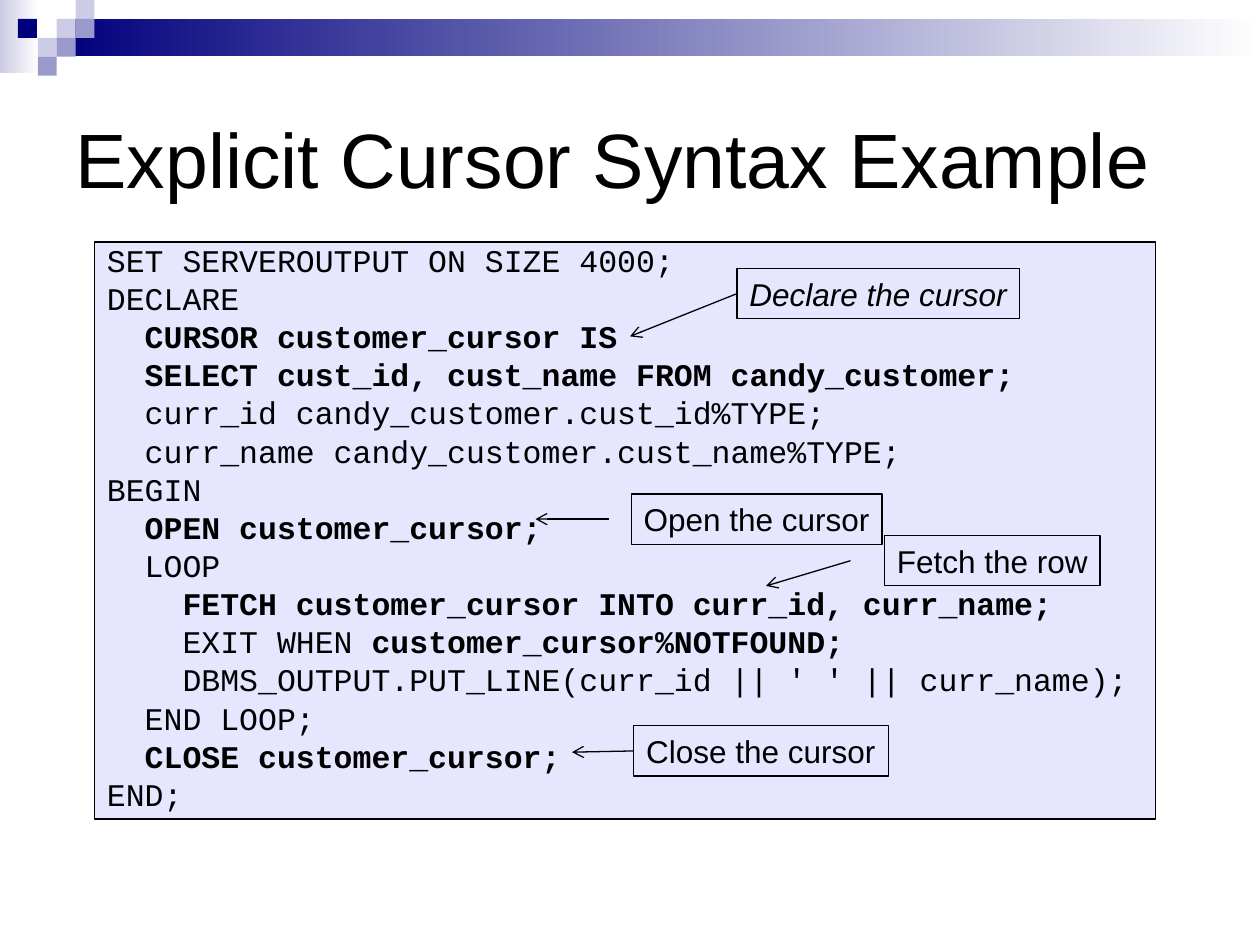
from typing import NamedTuple, Optional

from lxml.etree import SubElement as Sub
from pptx import Presentation
from pptx.dml.color import RGBColor
from pptx.enum.shapes import MSO_CONNECTOR as Link, MSO_SHAPE as Form
from pptx.enum.text import MSO_ANCHOR as Anchor, PP_ALIGN as Align
from pptx.oxml.ns import qn
from pptx.util import Emu, Inches, Pt

COLS, ROWS = 100, 75
WIDE, HIGH = Inches(10), Inches(7.5)
CELL = 1.5
INK, NAVY, PALE, MID, WHITE = "000000", "00007D", "CCCCE6", "9999CC", "FFFFFF"
SANS, MONO = "Arial", "Courier New"


class Box(NamedTuple):
    col: float
    row: float
    wide: float
    high: float


class Tile(NamedTuple):
    col: float
    row: int
    hue: str


class Line(NamedTuple):
    level: int
    plain: str
    bold: str = ""


class Note(NamedTuple):
    text: str
    box: Box
    head: tuple[float, float]
    tail: Optional[tuple[float, float]] = None
    slant: bool = False


TILES = [
    Tile(3, 1, PALE), Tile(4, 0, PALE), Tile(4, 1, MID), Tile(2, 2, PALE),
    Tile(0.95, 1, NAVY), Tile(3, 2, MID), Tile(2, 3, MID),
]
CODE = [
    Line(0, "SET SERVEROUTPUT ON SIZE 4000;"),
    Line(0, "DECLARE"),
    Line(1, "", "CURSOR customer_cursor IS"),
    Line(1, "", "SELECT cust_id, cust_name FROM candy_customer;"),
    Line(1, "curr_id candy_customer.cust_id%TYPE;"),
    Line(1, "curr_name candy_customer.cust_name%TYPE;"),
    Line(0, "BEGIN"),
    Line(1, "", "OPEN customer_cursor;"),
    Line(1, "LOOP"),
    Line(2, "", "FETCH customer_cursor INTO curr_id, curr_name;"),
    Line(2, "EXIT WHEN ", "customer_cursor%NOTFOUND;"),
    Line(2, "DBMS_OUTPUT.PUT_LINE(curr_id || ' ' || curr_name);"),
    Line(1, "END LOOP;"),
    Line(1, "", "CLOSE customer_cursor;"),
    Line(0, "END;"),
]
NOTES = [
    Note("Declare the cursor", Box(58.5, 21.3, 22.4, 4), (50, 26.7), slant=True),
    Note("Open the cursor", Box(50.1, 39.2, 19.9, 4), (42.5, 41.2), (48.3, 41.2)),
    Note("Fetch the row", Box(70.2, 42.5, 17.1, 4), (60.8, 46.5), (67.5, 44.5)),
    Note("Close the cursor", Box(50.3, 57.6, 20.2, 4), (45.4, 59.7)),
]


def tint(hue: str) -> RGBColor:
    return RGBColor.from_string(hue)


def across(col: float) -> Emu:
    return Emu(round(WIDE * col / COLS))


def down(row: float) -> Emu:
    return Emu(round(HIGH * row / ROWS))


def place(box: Box) -> tuple[Emu, Emu, Emu, Emu]:
    return across(box.col), down(box.row), across(box.wide), down(box.high)


def write(para, text: str, *, size=18, font=SANS, hue=INK, bold=False, slant=False):
    run = para.add_run()
    run.text = text
    face = run.font
    face.size, face.name, face.bold, face.italic = Pt(size), font, bold, slant
    face.color.rgb = tint(hue)
    para.alignment = Align.LEFT


def block(slide, box: Box, *, fill=None, fade=None, edge=None):
    shape = slide.shapes.add_shape(Form.RECTANGLE, *place(box))
    shape.shadow.inherit = False
    if fill is None:
        shape.fill.background()
    elif fade:
        shape.fill.gradient()
        shape.fill.gradient_angle = 0
        for stop, hue in zip(shape.fill.gradient_stops, (fill, fade)):
            stop.color.rgb = tint(hue)
    else:
        shape.fill.solid()
        shape.fill.fore_color.rgb = tint(fill)
    if edge:
        shape.line.color.rgb = tint(edge)
        shape.line.width = Pt(0.75)
    else:
        shape.line.fill.background()
    return shape


def banner(slide) -> None:
    block(slide, Box(0, 0, 3.1, 5.8), fill=PALE, fade=WHITE)
    block(slide, Box(4.5, CELL, 95.5, 2.92), fill=NAVY, fade=WHITE)
    for tile in TILES:
        spot = Box(tile.col * CELL, tile.row * CELL, CELL, CELL)
        block(slide, spot, fill=tile.hue)


def heading(slide, text: str) -> None:
    title = slide.shapes.title
    title.left, title.top, title.width, title.height = place(Box(5, 5, 90, 15))
    title.text_frame.vertical_anchor = Anchor.MIDDLE
    write(title.text_frame.paragraphs[0], text, size=44)


def listing(slide, lines: list[Line]) -> None:
    panel = block(slide, Box(7.5, 19.2, 84.2, 45.8), fill="9999FF", edge=INK)
    shade = panel.fill._xPr.find(qn("a:solidFill"))[0]
    Sub(shade, qn("a:alpha"), val="24000")
    frame = panel.text_frame
    frame.word_wrap, frame.vertical_anchor = True, Anchor.TOP
    for rank, line in enumerate(lines):
        para = frame.add_paragraph() if rank else frame.paragraphs[0]
        para.line_spacing = 0.8
        para.space_before = Pt(4.5 if rank else 0)
        props = para._p.get_or_add_pPr()
        props.set("marL", str(across(3 * line.level)))
        props.set("indent", "0")
        for text, bold in ((line.plain, False), (line.bold, True)):
            if text:
                write(para, text, font=MONO, bold=bold)


def callout(slide, note: Note) -> None:
    label = block(slide, note.box, edge=INK)
    label.text_frame.word_wrap = False
    label.text_frame.vertical_anchor = Anchor.MIDDLE
    write(label.text_frame.paragraphs[0], note.text, slant=note.slant)
    start = note.tail or (note.box.col, note.box.row + note.box.high / 2)
    arrow = slide.shapes.add_connector(
        Link.STRAIGHT, across(start[0]), down(start[1]),
        across(note.head[0]), down(note.head[1]))
    if note.tail is None:
        arrow.begin_connect(label, 1)
    arrow.line.color.rgb = tint(INK)
    arrow.line.width = Pt(0.75)
    Sub(arrow.line._get_or_add_ln(), qn("a:tailEnd"), type="arrow")
    Sub(arrow._element.spPr, qn("a:effectLst"))


def main() -> None:
    deck = Presentation()
    deck.slide_width, deck.slide_height = WIDE, HIGH
    slide = deck.slides.add_slide(deck.slide_layouts[5])
    banner(slide)
    heading(slide, "Explicit Cursor Syntax Example")
    listing(slide, CODE)
    for note in NOTES:
        callout(slide, note)
    deck.save("out.pptx")


if __name__ == "__main__":
    main()
